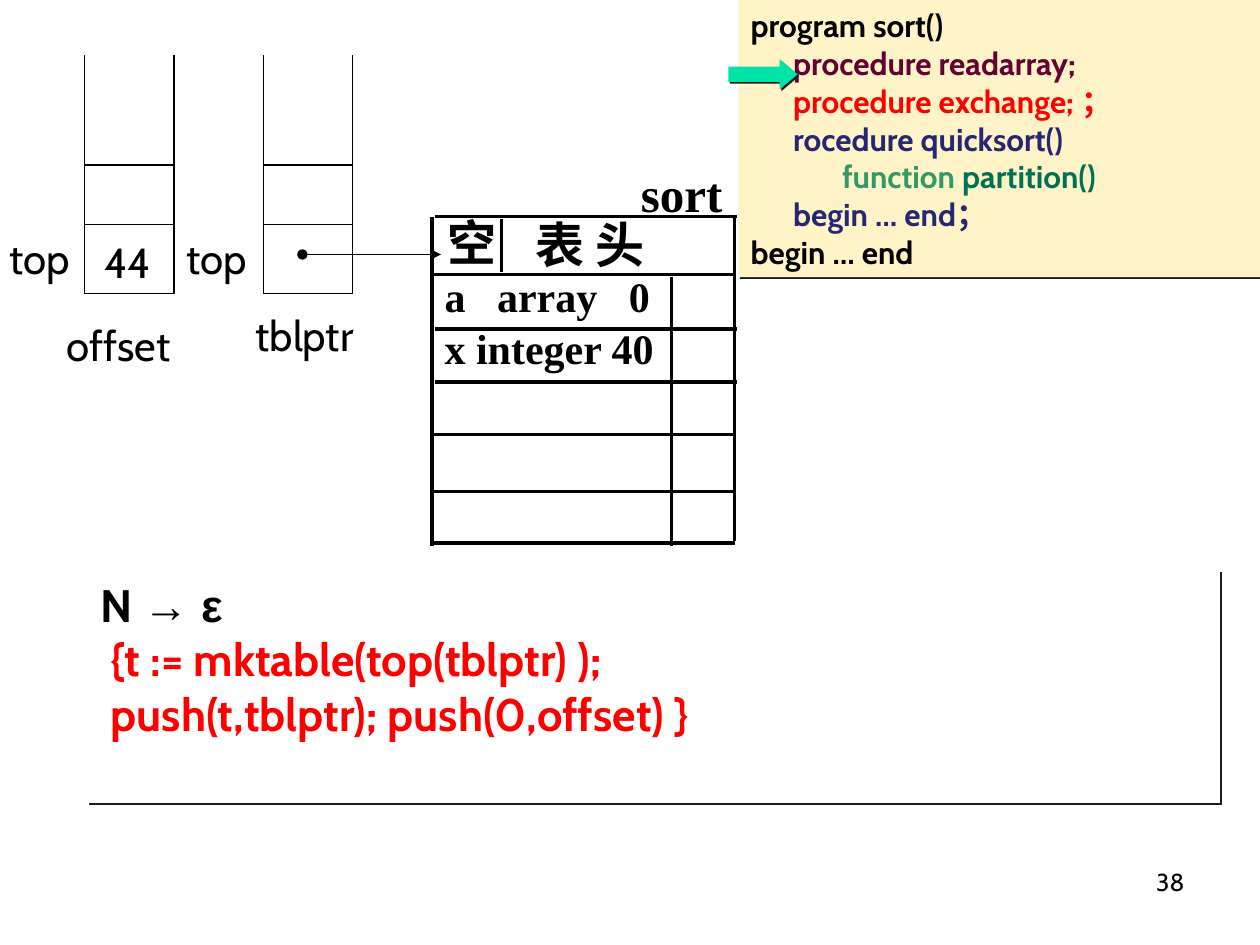
from lxml import etree
from pptx import Presentation
from pptx import util as u
from pptx.dml.color import RGBColor
from pptx.enum import shapes, text
from pptx.oxml.ns import qn

BLACK = RGBColor(0x00, 0x00, 0x00)
WHITE = RGBColor(0xFF, 0xFF, 0xFF)
RED = RGBColor(0xFF, 0x00, 0x00)
PLUM = RGBColor(0x66, 0x00, 0x33)
NAVY = RGBColor(0x26, 0x26, 0x73)
GREEN = RGBColor(0x33, 0x99, 0x66)
DARK_GREEN = RGBColor(0x00, 0x72, 0x54)
MINT = RGBColor(0x00, 0xE4, 0xA8)
CREAM = RGBColor(0xFF, 0xF4, 0xC8)
SHADOW = "1C1C1C"
SANS, SERIF, SYMBOL = "Cabin", "Times New Roman", "Arial"
LEFT, CENTER, RIGHT = text.PP_ALIGN.LEFT, text.PP_ALIGN.CENTER, text.PP_ALIGN.RIGHT
COLUMNS, ROWS = 100, 75


class Board:
    def __init__(self, presentation):
        self.width = presentation.slide_width
        self.height = presentation.slide_height
        self.slide = presentation.slides.add_slide(presentation.slide_layouts[6])

    def x(self, columns):
        return u.Emu(round(self.width * columns / COLUMNS))

    def y(self, rows):
        return u.Emu(round(self.height * rows / ROWS))

    def area(self, left, top, width, height):
        return self.x(left), self.y(top), self.x(width), self.y(height)

    def line(self, start, end, weight=0.75, pointer=False):
        connector = self.slide.shapes.add_connector(
            shapes.MSO_CONNECTOR.STRAIGHT,
            self.x(start[0]), self.y(start[1]), self.x(end[0]), self.y(end[1]))
        connector.line.color.rgb = BLACK
        connector.line.width = u.Pt(weight)
        etree.SubElement(connector._element.spPr, qn("a:effectLst"))
        if pointer:
            outline = connector.line._get_or_add_ln()
            etree.SubElement(outline, qn("a:headEnd"), type="oval")
            etree.SubElement(outline, qn("a:tailEnd"), type="triangle")

    def label(self, words, area, size=24, font=SANS, bold=False, align=LEFT, wrap=True):
        box = self.slide.shapes.add_textbox(*self.area(*area))
        box.text_frame.word_wrap = wrap
        paragraph = box.text_frame.paragraphs[0]
        paragraph.text = words
        paragraph.alignment = align
        self.style(paragraph.font, size, font, bold, BLACK)

    def style(self, font, size, name, bold, color):
        font.size, font.name, font.bold = u.Pt(size), name, bold
        font.color.rgb = color

    def block(self, kind, area, fill, outline=None):
        shape = self.slide.shapes.add_shape(kind, *self.area(*area))
        shape.fill.solid()
        shape.fill.fore_color.rgb = fill
        if outline is None:
            shape.line.fill.background()
        else:
            shape.line.color.rgb = outline
            shape.line.width = u.Pt(0.75)
        shape.shadow.inherit = False
        effects = shape._element.spPr.find(qn("a:effectLst"))
        shadow = etree.SubElement(effects, qn("a:outerShdw"), dist=str(u.Pt(1.4)),
                                  dir="2700000", algn="ctr", rotWithShape="0")
        etree.SubElement(shadow, qn("a:srgbClr"), val=SHADOW)
        return shape

    def code(self, shape, lines, size):
        frame = shape.text_frame
        frame.word_wrap = True
        frame.vertical_anchor = text.MSO_ANCHOR.TOP
        for index, pieces in enumerate(lines):
            paragraph = frame.add_paragraph() if index else frame.paragraphs[0]
            paragraph.alignment = LEFT
            for words, color, *font in pieces:
                run = paragraph.add_run()
                run.text = words
                self.style(run.font, size, font[0] if font else SANS, True, color)

    def stack(self, left):
        right, top, bottom = left + 7.1, 4.4, 23.3
        for side in (left, right):
            self.line((side, top), (side, bottom))
        for level in (13.1, 17.8, bottom):
            self.line((left, level), (right, level))


def draw_symbol_table(board):
    left, right, top, bottom = 34.3, 58.3, 17.2, 43.1
    for row, shift in ((top, 0.2), (21.8, 0.1), (26.1, 0.2), (30.3, 0.2),
                       (34.5, -0.1), (39, 0), (bottom, 0)):
        board.line((left + shift, row), (right + shift, row), 2)
    for column, start, end in ((left, top, 43.3), (right, top, 42.9),
                               (39.8, 17.4, 21.6), (53.3, 22, 43.3)):
        board.line((column, start), (column, end), 2)
    for words, area, size, align in (
            ("表 头", (41.5, 16.5, 14.8, 5.3), 28, LEFT),
            ("空", (34.5, 16.4, 5.7, 5.3), 28, CENTER),
            ("sort", (45.6, 12.5, 17, 5.3), 28, CENTER),
            ("a   array   0", (34.3, 21, 18.9, 5.3), 24, LEFT),
            ("x integer 40", (34.3, 25.1, 19.7, 5.3), 24, LEFT)):
        board.label(words, area, size, SERIF, True, align)


def draw_stacks(board):
    for left in (6.7, 20.9):
        board.stack(left)
    board.line((24, 20.2), (35, 20.2), pointer=True)
    board.label("offset", (4.3, 24.9, 11, 5))
    board.label("tblptr", (19.3, 24.1, 11, 5))
    for words, left, top, width in (("top", -0.2, 18, 7.2), ("top", 13.8, 18, 7.2),
                                    ("44", 7.3, 18.3, 5.8)):
        board.label(words, (left, top, width, 5), wrap=False)


def draw_code(board):
    indent = "      "
    program = board.block(shapes.MSO_SHAPE.RECTANGLE, (58.6, 0, 41.4, 22), CREAM)
    board.code(program, [
        [("program sort()", BLACK)],
        [(indent + "procedure readarray;", PLUM)],
        [(indent + "procedure exchange; ；", RED)],
        [(indent + "rocedure quicksort()", NAVY)],
        [("\t    function ", GREEN), ("partition()", DARK_GREEN)],
        [(indent + "begin … end；", NAVY)],
        [("begin … end", BLACK)],
    ], 18)
    arrow = board.block(shapes.MSO_SHAPE.RIGHT_ARROW, (57.8, 4.7, 5.5, 2.4), MINT)
    arrow.adjustments[1] = 0.59
    rule = board.block(shapes.MSO_SHAPE.RECTANGLE, (7, 45.3, 89.8, 18.4), WHITE, WHITE)
    board.code(rule, [
        [("N ", BLACK), ("→ ε", BLACK, SYMBOL)],
        [(" {t := mktable(top(tblptr) );", RED)],
        [(" push(t,tblptr); push(0,offset) }", RED)],
    ], 26)


def main():
    presentation = Presentation()
    presentation.slide_width, presentation.slide_height = u.Inches(10), u.Inches(7.5)
    board = Board(presentation)
    board.label("38", (71.7, 68.3, 23.3, 5.2), 14, align=RIGHT)
    draw_symbol_table(board)
    draw_stacks(board)
    draw_code(board)
    presentation.save("out.pptx")


if __name__ == "__main__":
    main()
